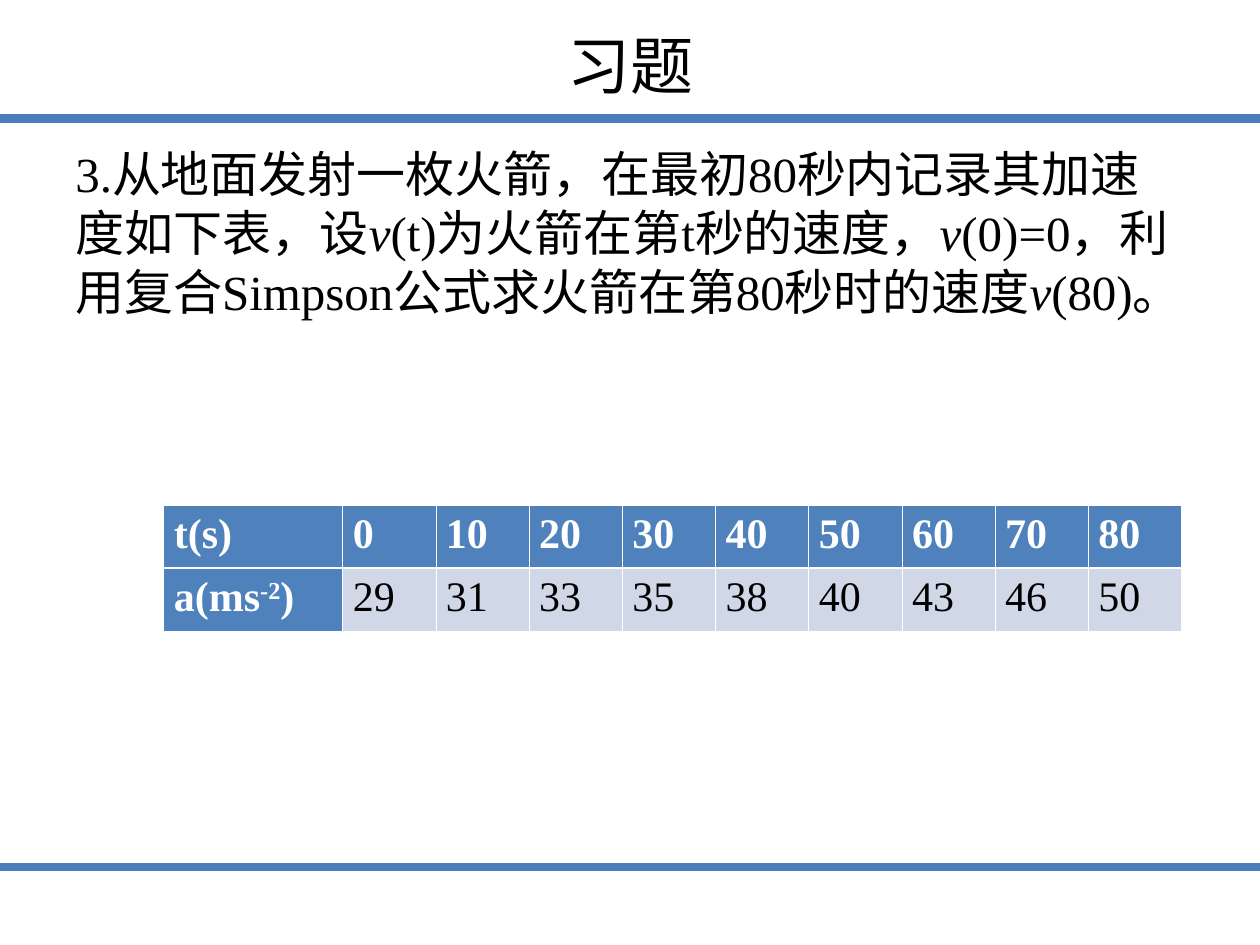
"""Build an exercise slide on finding a rocket's speed from an acceleration table."""
from lxml import etree
from pptx import Presentation
from pptx.dml.color import RGBColor
from pptx.enum import shapes, text
from pptx.oxml import ns
from pptx.util import Inches, Pt

COLORS = {"rule": "4A7EBB", "header": "4F81BD", "value": "D0D8E8",
          "white": "FFFFFF", "black": "000000"}
SERIF = "Times New Roman"


def write(frame, content, font=SERIF, size=28, color="black", bold=False,
          align=text.PP_ALIGN.LEFT, anchor=text.MSO_ANCHOR.TOP, mark="i", mark_value="1"):
    """Write one paragraph; every second piece between bars gets the mark."""
    frame.word_wrap = True
    frame.vertical_anchor = anchor
    paragraph = frame.paragraphs[0]
    paragraph.alignment = align
    for index, piece in enumerate(content.split("|")):
        run = paragraph.add_run()
        run.text = piece
        run.font.name = font
        run.font.size = Pt(size)
        run.font.bold = bold
        run.font.color.rgb = RGBColor.from_string(COLORS[color])
        if index % 2:
            run.font._element.set(mark, mark_value)


def border(cell, side, width):
    """Draw a white line along one side of a cell."""
    line = etree.SubElement(cell._tc.get_or_add_tcPr(), ns.qn(f"a:ln{side}"), w=str(Pt(width)))
    fill = etree.SubElement(line, ns.qn("a:solidFill"))
    etree.SubElement(fill, ns.qn("a:srgbClr"), val=COLORS["white"])


presentation = Presentation()
presentation.slide_width = Inches(10)
presentation.slide_height = Inches(7.5)
slide = presentation.slides.add_slide(presentation.slide_layouts[5])
margin = presentation.slide_width * 0.05
content_width = presentation.slide_width * 0.9

for height in (0.94, 6.88):
    rule = slide.shapes.add_connector(shapes.MSO_CONNECTOR.STRAIGHT, 0, Inches(height),
                                      presentation.slide_width, Inches(height))
    rule.line.color.rgb = RGBColor.from_string(COLORS["rule"])
    rule.line.width = Pt(5)
    etree.SubElement(rule._element.spPr, ns.qn("a:effectLst"))

title = slide.shapes.title
title.left, title.top = int(margin), Inches(0.16)
title.width, title.height = int(content_width), Inches(0.7)
write(title.text_frame, "习题", font="Arial", size=36,
      align=text.PP_ALIGN.CENTER, anchor=text.MSO_ANCHOR.MIDDLE)

exercise = slide.shapes.add_textbox(int(margin), Inches(1.09), int(content_width), Inches(5.61))
write(exercise.text_frame,
      "3.从地面发射一枚火箭，在最初80秒内记录其加速度如下表，设|v|(t)为火箭在第t秒的速度，"
      "|v|(0)=0，利用复合Simpson公式求火箭在第80秒时的速度|v|(80)。")

rows = [["t(s)", *range(0, 90, 10)],
        ["a(ms|-2|)", 29, 31, 33, 35, 38, 40, 43, 46, 50]]
table = slide.shapes.add_table(len(rows), len(rows[0]), Inches(1.3), Inches(4.01),
                               Inches(8.11), Inches(0.8)).table
for index, column in enumerate(table.columns):
    column.width = Inches(0.74 if index else 1.42)

for row, values in enumerate(rows):
    for column, value in enumerate(values):
        cell = table.cell(row, column)
        heading = row == 0 or column == 0
        cell.margin_left = cell.margin_right = Inches(0.08)
        cell.margin_top = cell.margin_bottom = Inches(0.05)
        inner_side = "T" if row else "B"
        for side in "LRTB":
            border(cell, side, 1.47 if side == inner_side else 0.45)
        cell.fill.solid()
        cell.fill.fore_color.rgb = RGBColor.from_string(COLORS["header" if heading else "value"])
        write(cell.text_frame, str(value), size=24, color="white" if heading else "black",
              bold=heading, align=text.PP_ALIGN.JUSTIFY, mark="baseline", mark_value="30000")

presentation.save("out.pptx")
